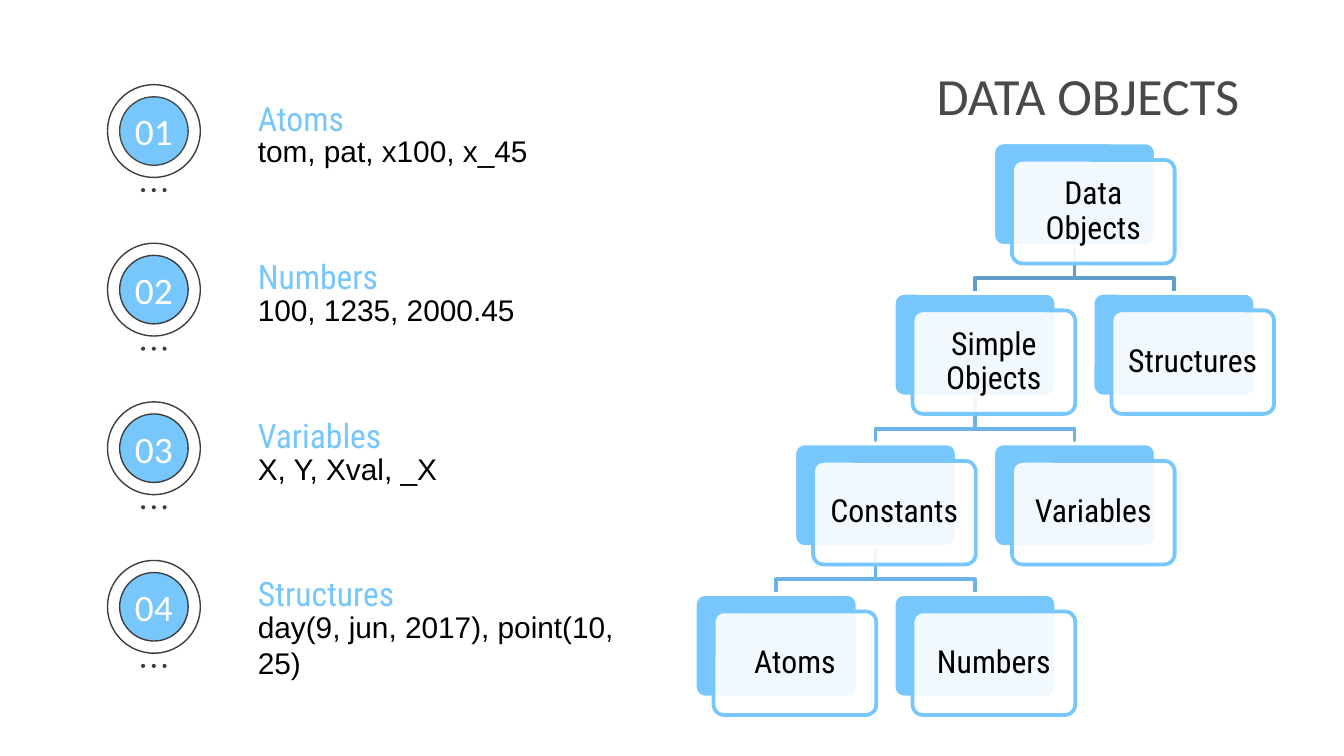
from lxml import etree
from pptx import Presentation
from pptx.dml.color import RGBColor
from pptx.enum.shapes import MSO_SHAPE
from pptx.enum.text import MSO_ANCHOR, MSO_AUTO_SIZE, PP_ALIGN
from pptx.oxml.ns import qn
from pptx.util import Inches, Pt

OVAL, CARD = MSO_SHAPE.OVAL, MSO_SHAPE.ROUNDED_RECTANGLE
TOP, MIDDLE = MSO_ANCHOR.TOP, MSO_ANCHOR.MIDDLE
LEFT, CENTER, RIGHT = PP_ALIGN.LEFT, PP_ALIGN.CENTER, PP_ALIGN.RIGHT
FIXED = MSO_AUTO_SIZE.NONE

WHITE = RGBColor(0xFF, 0xFF, 0xFF)
BLACK = RGBColor(0, 0, 0)
DARK = RGBColor(0x3D, 0x3D, 0x3D)
GRAY = RGBColor(0x49, 0x49, 0x49)
SKY = RGBColor(0x77, 0xC6, 0xFC)
STEEL = RGBColor(0x5F, 0x9F, 0xCA)
BLUE = RGBColor(0x6C, 0xB4, 0xE5)

ITEMS = [
    ("Atoms", "tom, pat, x100, x_45"),
    ("Numbers", "100, 1235, 2000.45"),
    ("Variables", "X, Y, Xval, _X"),
    ("Structures", "day(9, jun, 2017), point(10, 25)"),
]
ROW_TOP, ROW_STEP = 0.63, 1.18

# Tree nodes: text, column, level, index of the parent
NODES = [
    ("Data Objects", 3, 0, None),
    ("Simple Objects", 2, 1, 0),
    ("Structures", 4, 1, 0),
    ("Constants", 1, 2, 1),
    ("Variables", 3, 2, 1),
    ("Atoms", 0, 3, 3),
    ("Numbers", 2, 3, 3),
]
TREE_LEFT, TREE_TOP = 5.17, 1.06
COL_STEP, LEVEL_STEP = 0.74, 1.12
CARD_W, CARD_H = 1.21, 0.77
SHIFT_X, SHIFT_Y = 0.14, 0.13


def write(shape, text, size, font, color, align=LEFT, anchor=TOP,
          inset=0.1, spacing=1.0, wrap=True):
    frame = shape.text_frame
    frame.auto_size = FIXED
    frame.word_wrap = wrap
    frame.vertical_anchor = anchor
    frame.margin_left = frame.margin_right = Inches(inset)
    frame.margin_top = frame.margin_bottom = Inches(inset)
    para = frame.paragraphs[0]
    para.alignment = align
    para.line_spacing = spacing
    run = para.add_run()
    run.text = text
    run.font.size = Pt(size)
    run.font.name = font
    run.font.color.rgb = color


def add_box(slide, kind, left, top, width, height, fill, line=None, weight=0.75):
    shape = slide.shapes.add_shape(
        kind, Inches(left), Inches(top), Inches(width), Inches(height))
    shape.shadow.inherit = False
    shape.fill.solid()
    shape.fill.fore_color.rgb = fill
    if line is None:
        shape.line.fill.background()
    else:
        shape.line.color.rgb = line
        shape.line.width = Pt(weight)
    return shape


def add_label(slide, text, left, top, width, height, **style):
    box = slide.shapes.add_textbox(
        Inches(left), Inches(top), Inches(width), Inches(height))
    write(box, text, **style)


def set_alpha(shape, percent):
    color = shape.fill._xPr.find(qn("a:solidFill"))[0]
    etree.SubElement(color, qn("a:alpha"), val=str(percent * 1000))


def add_title(slide, text):
    title = slide.shapes.title
    title.left, title.top = Inches(6.46), Inches(0.39)
    title.width, title.height = Inches(2.86), Inches(0.63)
    write(title, text, size=28, font="Calibri", color=GRAY,
          align=RIGHT, anchor=MIDDLE)


def add_badge(slide, number, top):
    """Draw a numbered double ring with three dots below it."""
    add_box(slide, OVAL, 0.8, top, 0.69, 0.69, WHITE, DARK)
    edge = GRAY if number == 1 else DARK
    disc = add_box(slide, OVAL, 0.89, top + 0.09, 0.51, 0.51, SKY, edge)
    write(disc, f"{number:02}", size=20, font="Calibri", color=WHITE,
          align=CENTER, anchor=MIDDLE, inset=0, wrap=False)
    for i in range(3):
        add_box(slide, OVAL, 1.05 + 0.08 * i, top + 0.77, 0.03, 0.03, DARK)


def add_item(slide, index, name, sample):
    top = ROW_TOP + ROW_STEP * index
    add_badge(slide, index + 1, top)
    add_label(slide, name, 1.82, top - 0.05, 2.86, 0.42, size=18,
              font="Roboto Condensed", color=SKY, spacing=1.15)
    add_label(slide, sample, 1.82, top + 0.26, 2.86, 0.63, size=16,
              font="Arial", color=BLACK)


def node_spot(col, level):
    return TREE_LEFT + COL_STEP * col, TREE_TOP + LEVEL_STEP * level


def add_link(slide, parent, child):
    """Draw the bent line from a parent's bottom to a child's top."""
    left, top = node_spot(*parent[1:3])
    start, base = left + CARD_W / 2, top + CARD_H
    left, end = node_spot(*child[1:3])
    stop, bend = left + CARD_W / 2, base + 0.24
    path = slide.shapes.build_freeform(
        Inches(start), Inches(base), scale=1.0)
    points = [(start, bend), (stop, bend), (stop, end)]
    path.add_line_segments(
        [(Inches(x), Inches(y)) for x, y in points], close=False)
    link = path.convert_to_shape()
    link.shadow.inherit = False
    link.fill.background()
    link.line.color.rgb = STEEL if parent[2] == 0 else BLUE
    link.line.width = Pt(2)


def add_node(slide, text, col, level):
    left, top = node_spot(col, level)
    back = add_box(slide, CARD, left, top, CARD_W, CARD_H, SKY, WHITE, 2)
    front = add_box(slide, CARD, left + SHIFT_X, top + SHIFT_Y,
                    CARD_W, CARD_H, WHITE, SKY, 2)
    set_alpha(front, 90)
    for card in (back, front):
        card.adjustments[0] = 0.1
    write(front, text, size=17, font="Roboto Condensed", color=BLACK,
          align=CENTER, anchor=MIDDLE, inset=0.07, spacing=0.9)


def main():
    deck = Presentation()
    deck.slide_width = Inches(10)
    deck.slide_height = deck.slide_width * 9 // 16
    slide = deck.slides.add_slide(deck.slide_layouts[5])
    add_title(slide, "DATA OBJECTS")
    for index, (name, sample) in enumerate(ITEMS):
        add_item(slide, index, name, sample)
    for node in NODES[1:]:
        add_link(slide, NODES[node[3]], node)
    for text, col, level, _ in NODES:
        add_node(slide, text, col, level)
    deck.save("out.pptx")


if __name__ == "__main__":
    main()
